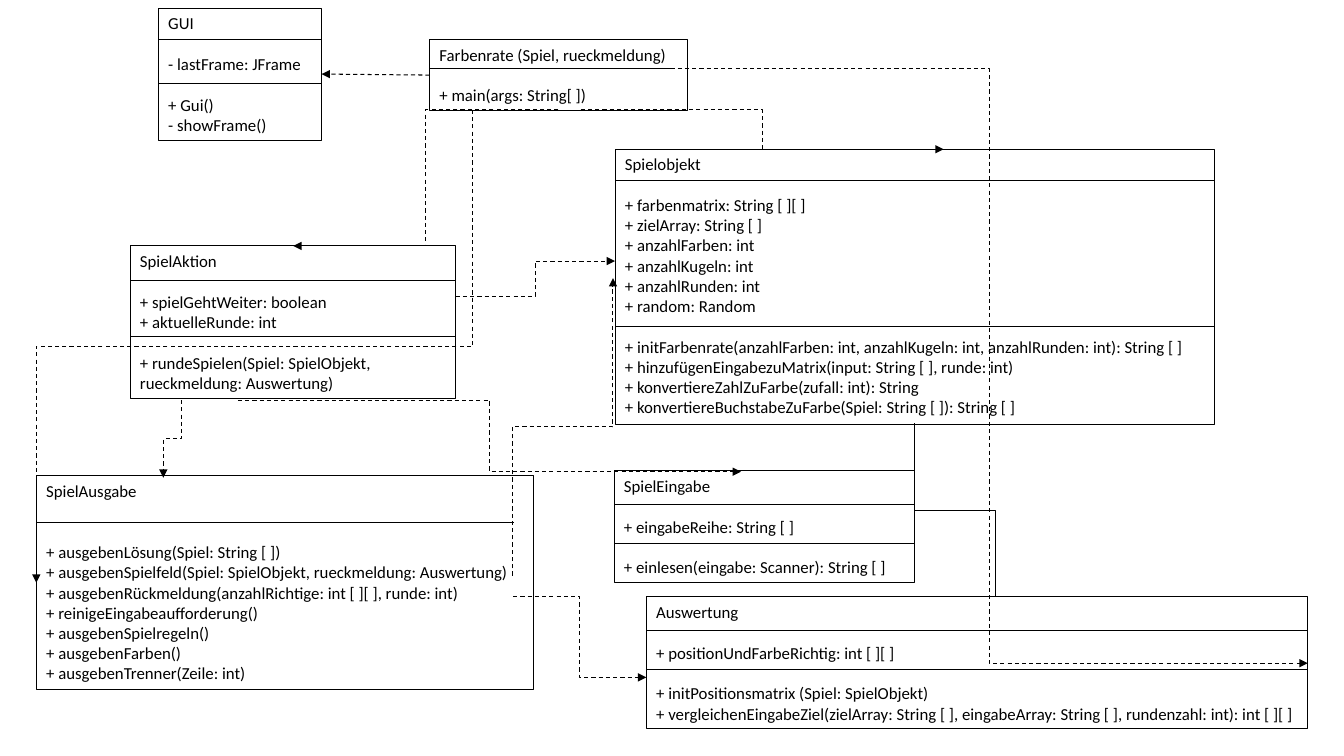
from lxml.etree import SubElement
from pptx import Presentation
from pptx.dml.color import RGBColor
from pptx.enum.dml import MSO_LINE
from pptx.enum.shapes import MSO_CONNECTOR, MSO_SHAPE
from pptx.enum.text import MSO_ANCHOR, MSO_AUTO_SIZE, PP_ALIGN
from pptx.oxml.ns import qn
from pptx.util import Inches, Pt

BLACK = "000000"
LINE_HEIGHT = 14.65

prs = Presentation()
prs.slide_width, prs.slide_height = Inches(13.33), Inches(7.5)
slide = prs.slides.add_slide(prs.slide_layouts[6])


def write(paragraph, text, size=12, color=BLACK, font="Calibri", gap=0):
    paragraph.alignment = PP_ALIGN.LEFT
    paragraph.space_before = Pt(gap)
    run = paragraph.add_run()
    run.text = text
    run.font.size, run.font.name = Pt(size), font
    run.font.color.rgb = RGBColor.from_string(color)


def connect(start, end, kind=MSO_CONNECTOR.STRAIGHT, width=0.5, arrow=False, upright=False):
    """Draw a line; an upright elbow leaves its start vertically, an arrow is dashed."""
    (x1, y1), (x2, y2) = start, end
    if upright:
        # A quarter turn about the centre brings these ends back to start and end.
        cx, cy, dx, dy = (x1 + x2) / 2, (y1 + y2) / 2, (x1 - x2) / 2, (y1 - y2) / 2
        x1, y1, x2, y2 = cx + dy, cy - dx, cx - dy, cy + dx
    connector = slide.shapes.add_connector(kind, Inches(x1), Inches(y1), Inches(x2), Inches(y2))
    properties = connector._element.spPr
    if upright:
        properties.find(qn("a:xfrm")).set("rot", str(90 * 60000))
    connector.line.color.rgb = RGBColor.from_string(BLACK)
    connector.line.width = Pt(width)
    if arrow:
        connector.line.dash_style = MSO_LINE.DASH
        SubElement(properties.find(qn("a:ln")), qn("a:tailEnd"), type="triangle")
    SubElement(properties, qn("a:effectLst"))
    return connector


# name: (left, top, width, height), divider heights, divider length, sections,
# blank lines above each section after the first
classes = {
    "Farbenrate (Spiel, rueckmeldung)": (
        (4.26, 0.39, 2.56, 0.71), [0.68], 2.39,
        [["+ main(args: String[ ])"]], 1),
    "Spielobjekt": (
        (6.1, 1.48, 5.95, 2.73), [1.79, 3.24], 5.95,
        [["+ farbenmatrix: String [ ][ ]", "+ zielArray: String [ ]",
          "+ anzahlFarben: int", "+ anzahlKugeln: int",
          "+ anzahlRunden: int", "+ random: Random"],
         ["+ initFarbenrate(anzahlFarben: int, anzahlKugeln: int, anzahlRunden: int): String [ ]",
          "+ hinzufügenEingabezuMatrix(input: String [ ], runde: int)",
          "+ konvertiereZahlZuFarbe(zufall: int): String",
          "+ konvertiereBuchstabeZuFarbe(Spiel: String [ ]): String [ ]"]], 1),
    "SpielAktion": (
        (1.29, 2.44, 3.23, 1.51), [2.78, 3.34], 3.23,
        [["+ spielGehtWeiter: boolean", "+ aktuelleRunde: int"],
         ["+ rundeSpielen(Spiel: SpielObjekt, rueckmeldung: Auswertung)"]], 1),
    "Auswertung": (
        (6.41, 5.92, 6.56, 1.31), [6.25, 6.64], 6.56,
        [["+ positionUndFarbeRichtig: int [ ][ ]"],
         ["+ initPositionsmatrix (Spiel: SpielObjekt)",
          "+ vergleichenEingabeZiel(zielArray: String [ ], eingabeArray: String [ ], "
          "rundenzahl: int): int [ ][ ]"]], 1),
    "SpielEingabe": (
        (6.09, 4.67, 2.98, 1.11), [5, 5.39], 2.98,
        [["+ eingabeReihe: String [ ]"], ["+ einlesen(eingabe: Scanner): String [ ]"]], 1),
    "SpielAusgabe": (
        (0.36, 4.72, 4.93, 2.12), [5.18], 4.74,
        [["+ ausgebenLösung(Spiel: String [ ])",
          "+ ausgebenSpielfeld(Spiel: SpielObjekt, rueckmeldung: Auswertung)",
          "+ ausgebenRückmeldung(anzahlRichtige: int [ ][ ], runde: int)",
          "+ reinigeEingabeaufforderung()", "+ ausgebenSpielregeln()",
          "+ ausgebenFarben()", "+ ausgebenTrenner(Zeile: int)"]], 2),
    "GUI": (
        (1.57, 0.08, 1.62, 1.31), [0.39, 0.83], 1.62,
        [["- lastFrame: JFrame"], ["+ Gui()", "- showFrame()"]], 1),
}

class_boxes = {}
for name, (bounds, dividers, length, sections, blank_lines) in classes.items():
    box = slide.shapes.add_shape(MSO_SHAPE.RECTANGLE, *map(Inches, bounds))
    box.shadow.inherit = False
    box.fill.background()
    box.line.color.rgb = RGBColor.from_string(BLACK)
    box.line.width = Pt(0.75)
    frame = box.text_frame
    frame.word_wrap = True
    frame.vertical_anchor = MSO_ANCHOR.TOP
    frame.auto_size = MSO_AUTO_SIZE.SHAPE_TO_FIT_TEXT
    write(frame.paragraphs[0], name)
    for section in sections:
        for index, member in enumerate(section):
            gap = 0 if index else blank_lines * LINE_HEIGHT
            write(frame.add_paragraph(), member, gap=gap)
    for y in dividers:
        connect((bounds[0], y), (bounds[0] + length, y))
    class_boxes[name] = box

# start, end, leaves vertically
dependencies = [
    ((4.69, 1.09), (0.36, 5.78), True),
    ((5.76, 1.09), (9.36, 1.48), False),
    ((6.65, 0.68), (12.97, 6.58), False),
    ((1.8, 3.97), (1.62, 4.74), True),
    ((2.36, 3.97), (7.35, 4.68), False),
    ((5.09, 5.92), (6.41, 6.72), False),
    ((5.08, 5.71), (6.08, 2.76), True),
    ((4.52, 2.94), (6.1, 2.59), False),
    ((5.54, 1.09), (2.91, 2.44), False),
]
for start, end, upright in dependencies:
    connect(start, end, MSO_CONNECTOR.ELBOW, width=0.75, arrow=True, upright=upright)

connect((9.87, 5.92), (9.07, 4.2), MSO_CONNECTOR.ELBOW, upright=True)

gui_link = connect((4.26, 0.74), (3.19, 0.74), width=0.75, arrow=True)
gui_link.begin_connect(class_boxes["Farbenrate (Spiel, rueckmeldung)"], 1)
gui_link.end_connect(class_boxes["GUI"], 3)

prs.save("out.pptx")
